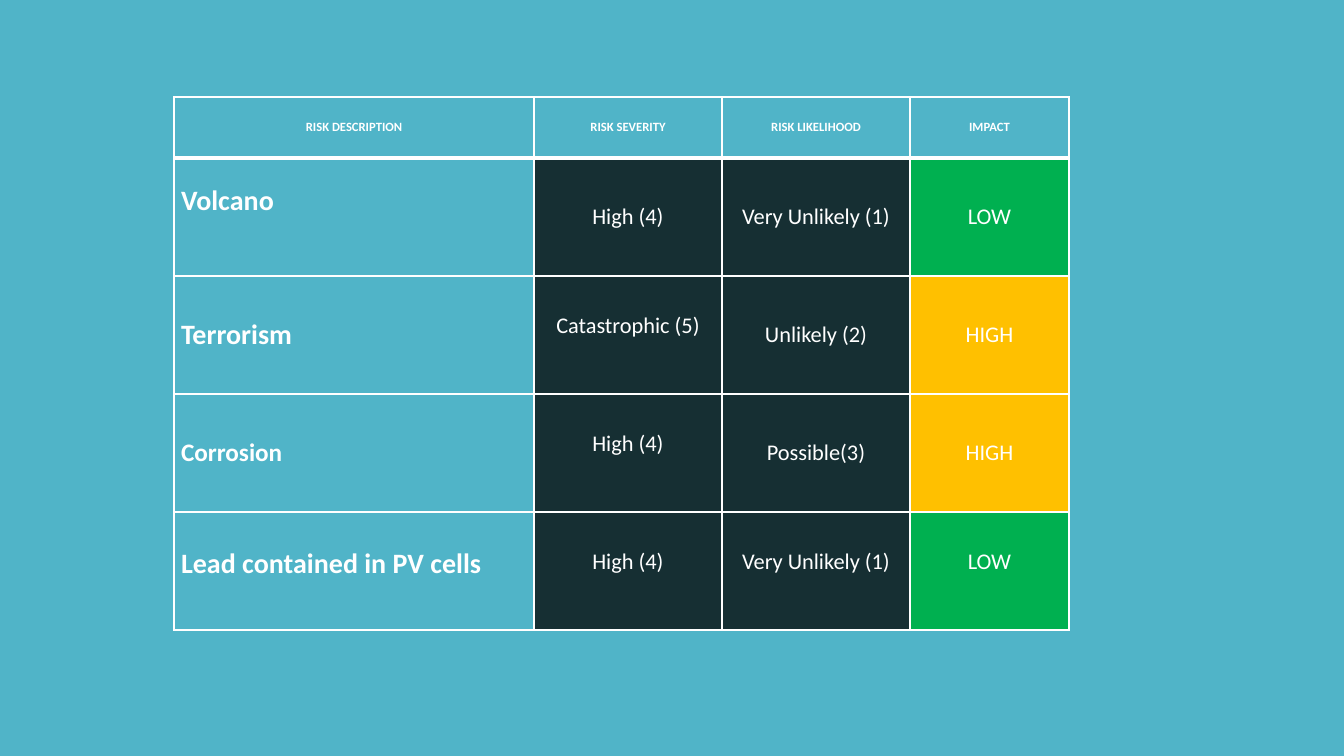
from lxml import etree
from pptx import Presentation
from pptx.dml.color import RGBColor
from pptx.enum.text import MSO_ANCHOR, PP_ALIGN
from pptx.oxml.ns import qn
from pptx.util import Pt

LEFT, CENTER = PP_ALIGN.LEFT, PP_ALIGN.CENTER
MIDDLE = MSO_ANCHOR.MIDDLE
PX = 914400 / 100.8
TEAL, DARK, WHITE = "50B4C8", "162F33", "FFFFFF"
IMPACT = {"LOW": "00B050", "HIGH": "FFC000"}


def put(cell, text, size=16, bold=False, align=CENTER, fill=DARK, lift=0):
    """Fill a cell with text; lift is the bottom margin in px that raises it."""
    cell.fill.solid()
    cell.fill.fore_color.rgb = RGBColor.from_string(fill)
    cell.vertical_anchor = MIDDLE
    cell.margin_left = cell.margin_right = round(7 * PX)
    cell.margin_top, cell.margin_bottom = 0, round(lift * PX)
    para = cell.text_frame.paragraphs[0]
    para.alignment = align
    run = para.add_run()
    run.text = text
    run.font.name = "Calibri"
    run.font.size = Pt(size)
    run.font.bold = bold
    run.font.color.rgb = RGBColor.from_string(WHITE)


def edge(cell, **widths):
    """Draw white cell borders, given as side letter = width in points."""
    props = cell._tc.get_or_add_tcPr()
    for side in "LRTB":
        line = etree.SubElement(props, qn(f"a:ln{side}"), w=str(Pt(widths.get(side, 1))))
        fill = etree.SubElement(line, qn("a:solidFill"))
        etree.SubElement(fill, qn("a:srgbClr"), val=WHITE)


prs = Presentation()
prs.slide_width, prs.slide_height = round(1344 * PX), round(756 * PX)
slide = prs.slides.add_slide(prs.slide_layouts[6])
back = slide.background.fill
back.solid()
back.fore_color.rgb = RGBColor.from_string(TEAL)

heads = ["RISK DESCRIPTION", "RISK SEVERITY", "RISK LIKELIHOOD", "IMPACT"]
# Each risk: four texts, size of its name, lift of each cell
risks = [
    (("Volcano", "High (4)", "Very Unlikely (1)", "LOW"), 20, (32, 0, 0, 0)),
    (("Terrorism", "Catastrophic (5)", "Unlikely (2)", "HIGH"), 20, (0, 18, 0, 0)),
    (("Corrosion", "High (4)", "Possible(3)", "HIGH"), 18, (0, 18, 0, 0)),
    (("Lead contained in PV cells", "High (4)", "Very Unlikely (1)", "LOW"), 20, (14, 18, 18, 18)),
]
widths = [360, 188, 188, 159]
heights = [61] + [118] * len(risks)

frame = slide.shapes.add_table(
    len(heights), len(widths), round(174 * PX), round(97 * PX),
    round(sum(widths) * PX), round(sum(heights) * PX))
table = frame.table
table.horz_banding = False
for col, width in zip(table.columns, widths):
    col.width = round(width * PX)
for row, height in zip(table.rows, heights):
    row.height = round(height * PX)

for c, head in enumerate(heads):
    cell = table.cell(0, c)
    edge(cell, B=3)
    put(cell, head, size=9, bold=True, fill=TEAL)

for r, (texts, size, lifts) in enumerate(risks, 1):
    for c, (text, lift) in enumerate(zip(texts, lifts)):
        cell = table.cell(r, c)
        edge(cell, T=3 if r == 1 else 1)
        if c == 0:
            put(cell, text, size=size, bold=True, align=LEFT, fill=TEAL, lift=lift)
        else:
            put(cell, text, fill=IMPACT.get(text, DARK), lift=lift)

prs.save("out.pptx")
